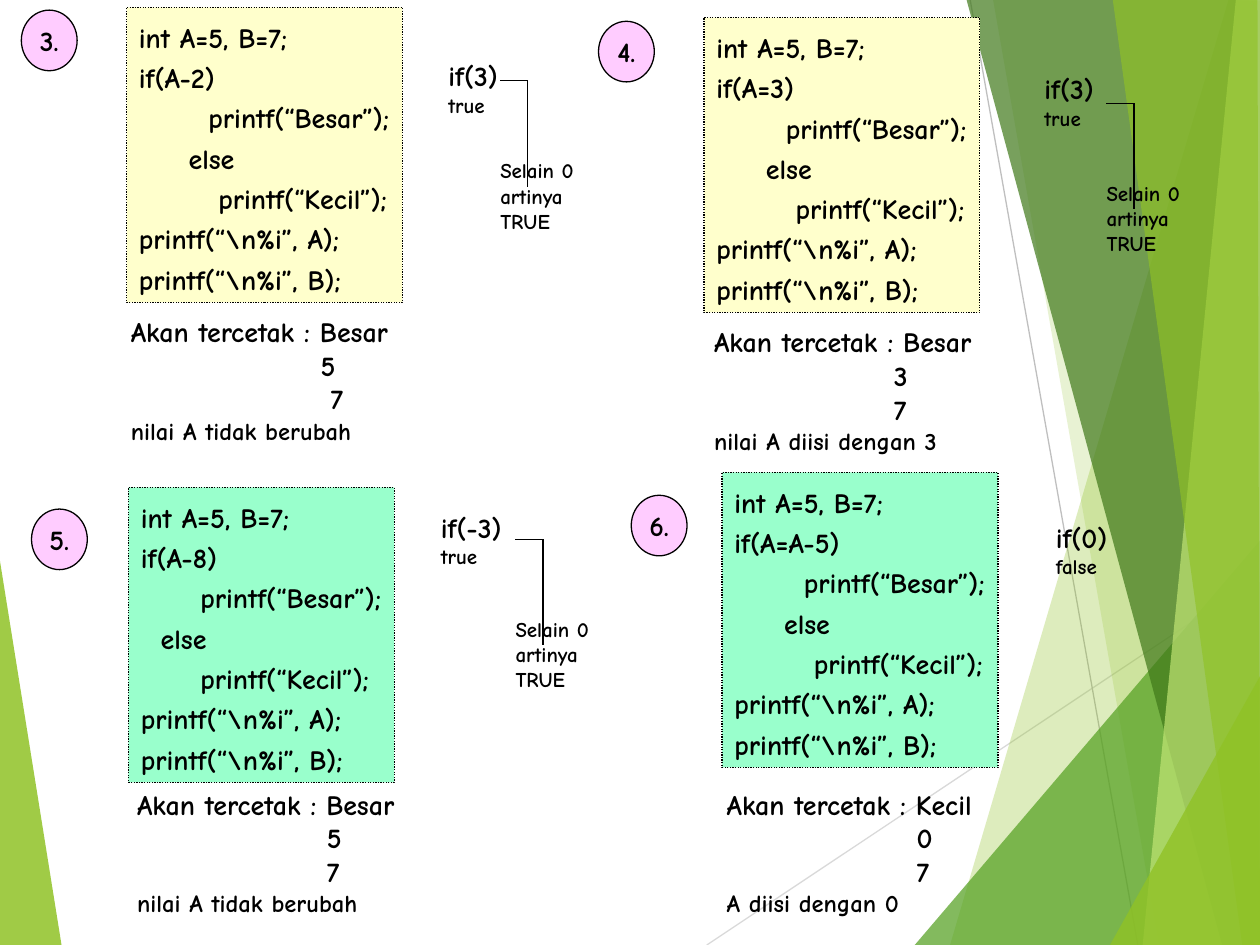
from typing import NamedTuple

import pptx
import pptx.dml.color
import pptx.enum.dml
import pptx.enum.shapes
import pptx.enum.text
import pptx.oxml
import pptx.oxml.ns
import pptx.util

Pt = pptx.util.Pt
RGB = pptx.dml.color.RGBColor
SHAPES = pptx.enum.shapes.MSO_SHAPE
ALIGN = pptx.enum.text.PP_ALIGN
ANCHOR = pptx.enum.text.MSO_ANCHOR

FONT = "Comic Neue"
SPACE = 5.71  # width of one character step in the output, in points
BLACK = RGB(0x00, 0x00, 0x00)
PINK = RGB(0xFF, 0xCC, 0xFF)
YELLOW = RGB(0xFF, 0xFF, 0xCC)
MINT = RGB(0x99, 0xFF, 0xCC)
LIGHT_GRAY = RGB(0xD9, 0xD9, 0xD9)
GRAY = RGB(0xBF, 0xBF, 0xBF)
LIME = RGB(0x90, 0xC2, 0x26)
GREEN = RGB(0x54, 0xA0, 0x21)
DARK_GREEN = RGB(0x3F, 0x78, 0x19)
PALE_GREEN = RGB(0xC0, 0xE4, 0x74)

# Background facets: colour, opacity in percent, corners
LEFT_FACET = (LIME, 85, [(-0.7, 316.1), (35.3, 540.7), (-0.7, 540)])
RIGHT_FACETS = [
    (LIME, 30, [(702, 0), (542.9, 540), (721.4, 540.7), (720.7, 0.7)]),
    (LIME, 20, [(567.4, -0.7), (662.4, 540), (720.7, 540), (720.7, -0.7)]),
    (GREEN, 72, [(522.7, 540), (720, 308.9), (720.7, 540)]),
    (DARK_GREEN, 70, [(552.2, -0.7), (698.4, 540), (720.7, 540), (720.7, -0.7)]),
    (PALE_GREEN, 70, [(706.3, -0.7), (653, 540), (720.7, 540), (720, -0.7)]),
    (LIME, 65, [(635.8, -0.7), (709.9, 540), (720, 540), (718.6, -0.7)]),
    (LIME, 80, [(634.3, 540), (720.7, 385.2), (720.7, 540)]),
]


class Case(NamedTuple):
    number: str
    badge: tuple      # left, top
    code: tuple       # left, top, width
    fill: RGB
    condition: str
    indents: tuple    # leading spaces of the three branch lines
    output: tuple     # left, top, width
    printed: tuple    # word, value of A, value of B
    steps: tuple      # character steps before A and B
    remark: str
    test: tuple       # left, top, width
    result: tuple     # evaluated condition, truth value
    reason: tuple     # start of the bracket, or empty


CASES = [
    Case("3.", (12.2, 5.8), (72.3, 4.3, 157.7), YELLOW, "A-2", (7, 5, 8),
         (67.7, 176.4, 162.7), ("Besar", "5", "7"), (19, 20),
         "nilai A tidak berubah", (249.1, 30.2, 42.5), ("if(3)", "true"),
         (285.8, 46.1)),
    Case("4.", (342, 12.2), (402.2, 10.1, 157.7), YELLOW, "A=3", (7, 5, 8),
         (401, 182.2, 162.7), ("Besar", "3", "7"), (18, 18),
         "nilai A diisi dengan 3", (589.7, 37.4, 42.5), ("if(3)", "true"),
         (632.2, 59)),
    Case("5.", (18, 290.9), (73.4, 278.6, 151.9), MINT, "A-8", (6, 2, 6),
         (71.3, 446.4, 162.7), ("Besar", "5", "7"), (19, 19),
         "nilai A tidak berubah", (244.8, 288, 49), ("if(-3)", "true"),
         (294.5, 308.2)),
    Case("6.", (360.7, 283), (412.6, 270, 157.7), MINT, "A=A-5", (7, 5, 8),
         (408.2, 446.4, 155.5), ("Kecil", "0", "7"), (19, 19),
         "A diisi dengan 0", (596.2, 293.8, 43.9), ("if(0)", "false"), ()),
]


def add_facet(page, color, opacity, corners):
    points = [(Pt(x), Pt(y)) for x, y in corners]
    builder = page.shapes.build_freeform(*points[0], scale=1.0)
    builder.add_line_segments(points[1:], close=True)
    facet = builder.convert_to_shape()
    facet.shadow.inherit = False
    facet.fill.solid()
    facet.fill.fore_color.rgb = color
    facet.line.fill.background()
    tone = facet.fill._xPr.find(".//" + pptx.oxml.ns.qn("a:srgbClr"))
    alpha = pptx.oxml.parse_xml(
        f'<a:alpha {pptx.oxml.ns.nsdecls("a")} val="{opacity * 1000}"/>')
    tone.append(alpha)


def add_line(page, start, end, color=BLACK):
    line = page.shapes.add_connector(
        pptx.enum.shapes.MSO_CONNECTOR.STRAIGHT, *map(Pt, start + end))
    line.line.color.rgb = color
    line.line.width = Pt(0.75)
    line._element.spPr.append(pptx.oxml.parse_xml(
        f'<a:effectLst {pptx.oxml.ns.nsdecls("a")}/>'))


def write(box, lines, sizes, align=ALIGN.LEFT, spacing=None):
    frame = box.text_frame
    frame.word_wrap = False
    frame.text = "\n".join(lines)
    for para, size in zip(frame.paragraphs, sizes):
        para.alignment = align
        if spacing:
            para.line_spacing = spacing
        for span in para.runs:
            span.font.name = FONT
            span.font.size = Pt(size)
            span.font.bold = True
            span.font.color.rgb = BLACK


def add_text(page, place, lines, sizes):
    box = page.shapes.add_textbox(*map(Pt, place))
    write(box, lines, sizes)
    box.text_frame.auto_size = pptx.enum.text.MSO_AUTO_SIZE.SHAPE_TO_FIT_TEXT
    return box


def add_filled(page, kind, place, color):
    box = page.shapes.add_shape(kind, *map(Pt, place))
    box.shadow.inherit = False
    box.fill.solid()
    box.fill.fore_color.rgb = color
    box.line.color.rgb = BLACK
    box.line.width = Pt(0.75)
    return box


def add_badge(page, case):
    badge = add_filled(page, SHAPES.OVAL, case.badge + (31.9, 34.6), PINK)
    write(badge, [case.number], [16], ALIGN.CENTER)
    badge.text_frame.vertical_anchor = ANCHOR.MIDDLE


def add_code(page, case):
    box = add_filled(page, SHAPES.RECTANGLE, case.code + (168.5,), case.fill)
    box.line.dash_style = pptx.enum.dml.MSO_LINE.ROUND_DOT
    branches = ["printf(“Besar”);", "else", "printf(“Kecil”);"]
    lines = ["int A=5, B=7;", f"if({case.condition})"]
    lines += [" " * count + text for count, text in zip(case.indents, branches)]
    lines += [f"printf(“\\n%i”, {name});" for name in "AB"]
    write(box, lines, [16] * len(lines), spacing=1.2)
    box.text_frame.vertical_anchor = ANCHOR.TOP
    box.text_frame.auto_size = pptx.enum.text.MSO_AUTO_SIZE.SHAPE_TO_FIT_TEXT


def add_output(page, case):
    word, *values = case.printed
    lines = [f"Akan tercetak : {word}", *values, case.remark]
    box = add_text(page, case.output + (82.1,), lines, [16, 16, 16, 14])
    for para, count in zip(box.text_frame.paragraphs[1:3], case.steps):
        para._p.get_or_add_pPr().set("marL", str(Pt(count * SPACE)))


def add_reason(page, start):
    x, y = start
    corner = (x + 15.8, y)
    add_line(page, start, corner)
    add_line(page, corner, (x + 15.8, y + 60.6))
    add_text(page, (x - 7, y + 40.6, 56.2, 50.4),
             ["Selain 0", "artinya", "TRUE"], [12] * 3)


def main():
    deck = pptx.Presentation()
    deck.slide_width, deck.slide_height = Pt(720), Pt(540)
    page = deck.slides.add_slide(deck.slide_layouts[6])

    # Background
    add_facet(page, *LEFT_FACET)
    add_line(page, (403.9, 540), (720.7, 329), LIGHT_GRAY)
    add_line(page, (554.4, 0), (650.2, 540), GRAY)
    for facet in RIGHT_FACETS:
        add_facet(page, *facet)

    # Exercises
    for case in CASES:
        add_badge(page, case)
        add_code(page, case)
        add_output(page, case)
        add_text(page, case.test + (41,), case.result, [16, 12])
        if case.reason:
            add_reason(page, case.reason)

    deck.save("out.pptx")


if __name__ == "__main__":
    main()
